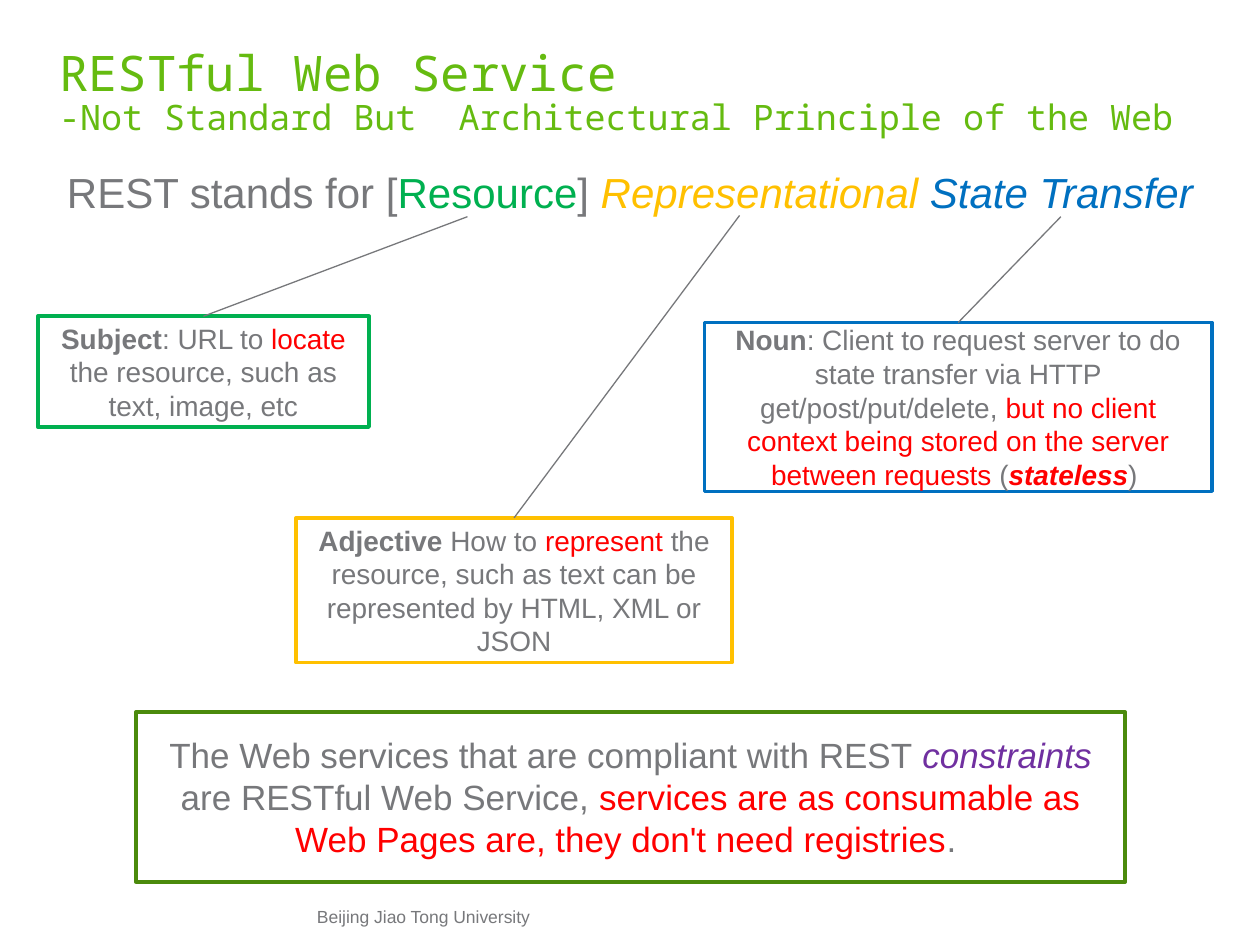
import pptx
import pptx.util
import pptx.dml.color
import pptx.enum.shapes
import pptx.enum.text
import pptx.oxml.ns
import lxml.etree

Inches, Pt = pptx.util.Inches, pptx.util.Pt
Align, Anchor = pptx.enum.text.PP_ALIGN, pptx.enum.text.MSO_ANCHOR

HUES = {
    "title": "65BB10", "text": "77787B", "key": "FF0000", "subject": "00B050",
    "adjective": "FFC000", "noun": "0070C0", "sum": "4B8A0C", "term": "7030A0",
}

# A run is (text, hue, style), where style holds "b" and/or "i".
TITLE = [("RESTful Web Service", 28), ("-Not Standard But  Architectural Principle of the Web", 20)]
LEAD = [
    ("REST stands for [", "text", ""), ("Resource", "subject", ""), ("] ", "text", ""),
    ("Representational ", "adjective", "i"), ("State Transfer", "noun", "i"),
]
FOOT = [("Beijing Jiao Tong University ", "text", "")]

# hue, place, text size, runs, point in the lead that the box explains
BOXES = [
    ("subject", (0.3, 2.51, 2.63, 0.88), 16, [
        ("Subject", "text", "b"), (": URL to ", "text", ""), ("locate", "key", ""),
        (" the resource, such as text, image, etc", "text", ""),
    ], (3.71, 1.72)),
    ("adjective", (2.35, 4.11, 3.46, 1.15), 16, [
        ("Adjective", "text", "b"), (" How to ", "text", ""), ("represent", "key", ""),
        (" the resource, such as text can be represented by HTML, XML or JSON", "text", ""),
    ], (5.87, 1.71)),
    ("noun", (5.59, 2.56, 4.03, 1.34), 16, [
        ("Noun", "text", "b"),
        (": Client to request server to do state transfer via HTTP get/post/put/delete, ", "text", ""),
        ("but no client context being stored on the server between requests ", "key", ""),
        ("(", "text", ""), ("stateless", "key", "bi"), (") ", "text", ""),
    ], (8.42, 1.72)),
    ("sum", (1.08, 5.65, 7.85, 1.35), 20, [
        ("The Web services that are compliant with REST ", "text", ""),
        ("constraints", "term", "i"), (" are RESTful Web Service, ", "text", ""),
        ("services are as consumable as Web Pages are, they don't need registries", "key", ""),
        (". ", "text", ""),
    ], None),
]


def color(hue):
    return pptx.dml.color.RGBColor.from_string(HUES[hue])


def style(run, size, hue, marks="", face="Arial"):
    font = run.font
    font.name, font.size = face, Pt(size)
    font.color.rgb = color(hue)
    font.bold, font.italic = "b" in marks, "i" in marks


def write(frame, runs, size):
    para = frame.paragraphs[0]
    para.alignment = Align.CENTER
    for text, hue, marks in runs:
        run = para.add_run()
        run.text = text
        style(run, size, hue, marks)


def add_text(slide, place, top=0):
    """Add a wrapping text box with no insets but the top one."""
    frame = slide.shapes.add_textbox(*map(Inches, place)).text_frame
    frame.word_wrap = True
    frame.margin_left = frame.margin_right = frame.margin_bottom = 0
    frame.margin_top = Inches(top)
    return frame


def add_title(slide):
    frame = add_text(slide, (0.47, 0.35, 9.06, 0.57), 0.06)
    para = frame.paragraphs[0]
    para.text = "\v".join(text for text, size in TITLE)
    para.line_spacing = 0.85
    for run, (text, size) in zip(para.runs, TITLE):
        style(run, size, "title", face="Noto Sans Mono")


def add_box(slide, hue, place, size, runs):
    box = slide.shapes.add_shape(
        pptx.enum.shapes.MSO_SHAPE.RECTANGLE, *map(Inches, place))
    box.shadow.inherit = False
    box.fill.background()
    box.line.color.rgb = color(hue)
    box.line.width = Pt(2)
    box.text_frame.word_wrap = True
    box.text_frame.vertical_anchor = Anchor.MIDDLE
    write(box.text_frame, runs, size)


def add_line(slide, place, end):
    """Join the middle of a box's top edge to a point in the lead."""
    left, top, width, _ = place
    line = slide.shapes.add_connector(
        pptx.enum.shapes.MSO_CONNECTOR.STRAIGHT,
        *map(Inches, (left + width / 2, top, *end)))
    line.line.color.rgb = color("text")
    line.line.width = Pt(0.75)
    lxml.etree.SubElement(line._element.spPr, pptx.oxml.ns.qn("a:effectLst"))


def main():
    deck = pptx.Presentation()
    deck.slide_width, deck.slide_height = Inches(10), Inches(7.5)
    slide = deck.slides.add_slide(deck.slide_layouts[6])
    add_title(slide)
    write(add_text(slide, (0.47, 0.87, 9.06, 5.87), 0.5), LEAD, 24)
    write(add_text(slide, (1.76, 7.17, 3.24, 0.28), 0.02), FOOT, 10)
    for hue, place, size, runs, end in BOXES:
        add_box(slide, hue, place, size, runs)
        if end:
            add_line(slide, place, end)
    deck.save("out.pptx")


if __name__ == "__main__":
    main()
